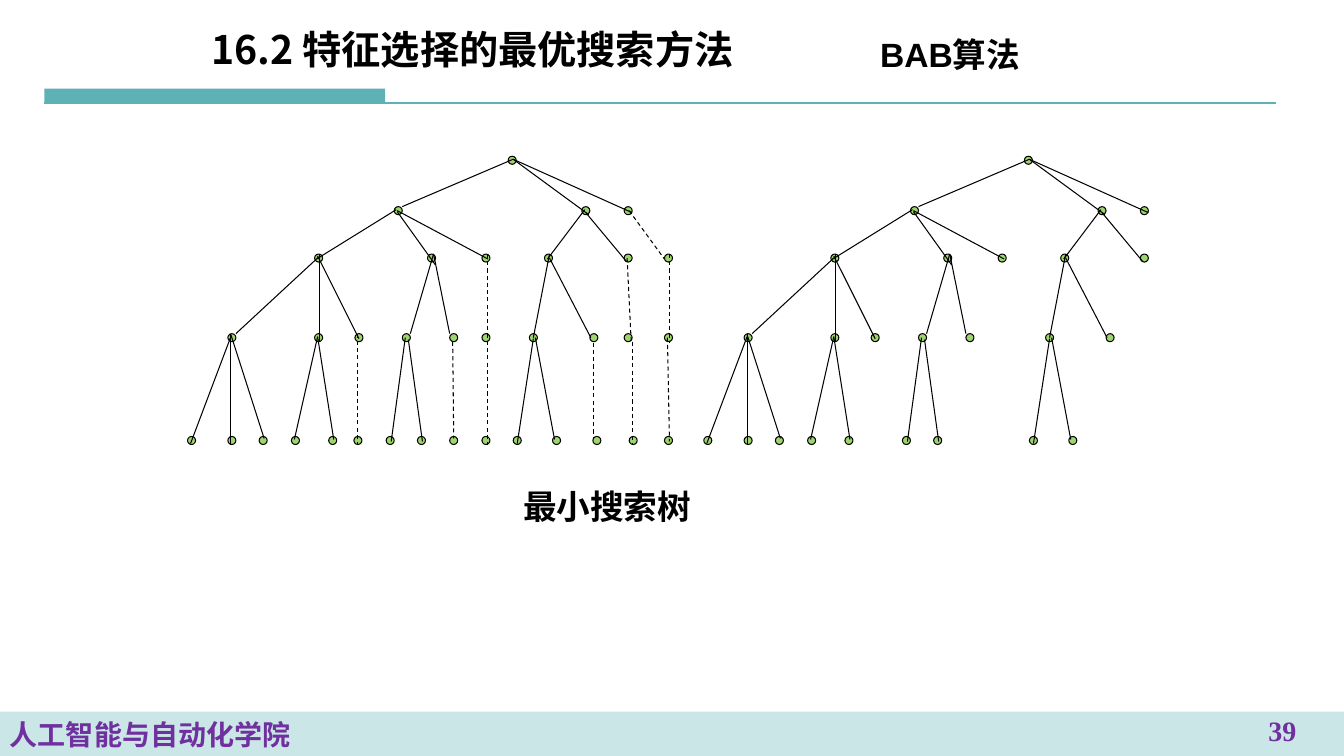
from pptx import Presentation
from pptx import util as u
from pptx.dml.color import RGBColor
from pptx.enum import dml, shapes, text
from pptx.oxml.ns import qn
from lxml import etree

TEAL, GREEN, BLACK, PURPLE = "5EB2B6", "9FD56D", "000000", "7030A0"
CJK = "Noto Sans CJK SC"
DOT = 0.08
SHIFT = 5.12

NODES = {
    1.55: [5.04],
    2.05: [3.91, 5.77, 6.19],
    2.52: [3.12, 4.24, 4.78, 5.4, 6.19],
    3.31: [2.26, 3.12, 3.52, 3.99, 4.46, 5.25, 5.85],
    4.33: [1.86, 2.26, 2.57, 2.89, 3.26, 3.83, 4.14, 5.09, 5.48],
}
CUT_NODES = {
    2.52: [6.59],
    3.31: [4.78, 6.19, 6.59],
    4.33: [3.51, 4.46, 4.78, 5.88, 6.24, 6.59],
}
EDGES = [
    (5.09, 1.58, 3.99, 2.05), (5.09, 1.58, 5.84, 2.13), (5.09, 1.58, 6.27, 2.11),
    (3.93, 2.08, 3.14, 2.57), (3.94, 2.1, 4.32, 2.63), (3.94, 2.09, 4.84, 2.57),
    (5.8, 2.08, 5.43, 2.57), (5.81, 2.11, 6.21, 2.59),
    (3.16, 2.55, 2.34, 3.31), (3.17, 2.52, 3.17, 3.39), (3.15, 2.54, 3.56, 3.36),
    (4.3, 2.52, 4.07, 3.31), (4.3, 2.52, 4.46, 3.31),
    (5.45, 2.52, 5.29, 3.35), (5.45, 2.56, 5.86, 3.35),
    (2.29, 3.34, 1.89, 4.4), (2.29, 3.31, 2.29, 4.41), (2.29, 3.32, 2.62, 4.35),
    (3.15, 3.34, 2.92, 4.36), (3.15, 3.34, 3.31, 4.36),
    (4.02, 3.35, 3.88, 4.38), (4.05, 3.37, 4.19, 4.38),
    (5.29, 3.36, 5.13, 4.4), (5.31, 3.35, 5.5, 4.36),
]
CUT_EDGES = [
    (6.24, 2.09, 6.59, 2.57), (6.64, 2.52, 6.64, 3.4), (6.62, 3.35, 6.64, 4.38),
    (6.22, 2.56, 6.26, 3.38), (6.27, 3.39, 6.27, 4.41), (5.89, 3.4, 5.89, 4.36),
    (4.84, 2.52, 4.84, 3.39), (4.84, 3.31, 4.84, 4.41), (4.49, 3.39, 4.5, 4.35),
    (3.55, 3.31, 3.55, 4.41),
]


def color(code):
    """Turn a hex string into a colour."""
    return RGBColor.from_string(code)


def add_line(home, ends, hue=BLACK, width=0.75, dash=False):
    """Draw a straight line between two points."""
    line = home.add_connector(shapes.MSO_CONNECTOR.STRAIGHT, *map(u.Inches, ends))
    line.line.color.rgb = color(hue)
    line.line.width = u.Pt(width)
    if dash:
        line.line.dash_style = dml.MSO_LINE.DASH
    etree.SubElement(line._element.spPr, qn("a:effectLst"))


def add_block(home, kind, box, fill, edge=None):
    """Draw a filled preset shape."""
    block = home.add_shape(kind, *map(u.Inches, box))
    block.shadow.inherit = False
    block.fill.solid()
    block.fill.fore_color.rgb = color(fill)
    if edge:
        block.line.color.rgb = color(edge)
        block.line.width = u.Pt(0.75)
    else:
        block.line.fill.background()
    return block


def add_nodes(home, rows, shift=0):
    """Draw the dots of a tree, row by row."""
    for top, lefts in rows.items():
        for left in lefts:
            box = (left + shift, top, DOT, DOT)
            add_block(home, shapes.MSO_SHAPE.OVAL, box, GREEN, BLACK)


def add_edges(home, edges, shift=0, dash=False):
    """Draw the branches of a tree."""
    for x1, y1, x2, y2 in edges:
        add_line(home, (x1 + shift, y1, x2 + shift, y2), dash=dash)


def set_text(shape, words, size, hue, font="Arial", align="LEFT", anchor="TOP"):
    """Write one bold line into a shape."""
    frame = shape.text_frame
    frame.text = words
    frame.word_wrap = True
    frame.vertical_anchor = text.MSO_ANCHOR[anchor]
    para = frame.paragraphs[0]
    para.alignment = text.PP_ALIGN[align]
    run = para.runs[0]
    run.font.size = u.Pt(size)
    run.font.bold = True
    run.font.name = font
    run.font.color.rgb = color(hue)
    etree.SubElement(run.font._element, qn("a:ea"), typeface=CJK)


def add_label(home, box, *style, **more):
    """Add a text box with one line."""
    set_text(home.add_textbox(*map(u.Inches, box)), *style, **more)


def add_frame(home):
    """Draw the header rule and the footer band."""
    rect = shapes.MSO_SHAPE.RECTANGLE
    add_block(home, rect, (0.44, 0.88, 3.38, 0.14), TEAL)
    add_line(home, (0.44, 1.02, 12.66, 1.02), TEAL, 1.5)
    band = add_block(home, rect, (0, 7.06, 13.33, 0.44), TEAL)
    fill = band._element.spPr.find(qn("a:solidFill"))
    etree.SubElement(fill[0], qn("a:alpha"), val="32000")
    set_text(band, "人工智能与自动化学院", 20, PURPLE, anchor="MIDDLE")


def main():
    """Build the slide and save it."""
    deck = Presentation()
    deck.slide_width, deck.slide_height = u.Inches(13.33), u.Inches(7.5)
    slide = deck.slides.add_slide(deck.slide_layouts[5])
    home = slide.shapes

    title = home.title
    title.left, title.top = u.Inches(2), u.Inches(0.17)
    title.width, title.height = u.Inches(6.75), u.Inches(0.62)
    set_text(title, "16.2 特征选择的最优搜索方法", 28, BLACK, CJK, anchor="MIDDLE")
    add_frame(home)

    add_nodes(home, NODES)
    add_nodes(home, CUT_NODES)
    add_edges(home, EDGES)
    add_edges(home, CUT_EDGES, dash=True)

    small = home.add_group_shape().shapes
    add_nodes(small, NODES, SHIFT)
    add_edges(small, EDGES, SHIFT)

    add_label(home, (5.09, 4.77, 2.36, 0.5), "最小搜索树", 24, BLACK)
    add_label(home, (8.63, 0.29, 1.89, 0.5), "BAB算法", 24, BLACK)
    add_label(home, (12.11, 7.03, 1.22, 0.39), "39", 20, PURPLE,
              font="Times New Roman", align="CENTER")
    deck.save("out.pptx")


if __name__ == "__main__":
    main()
